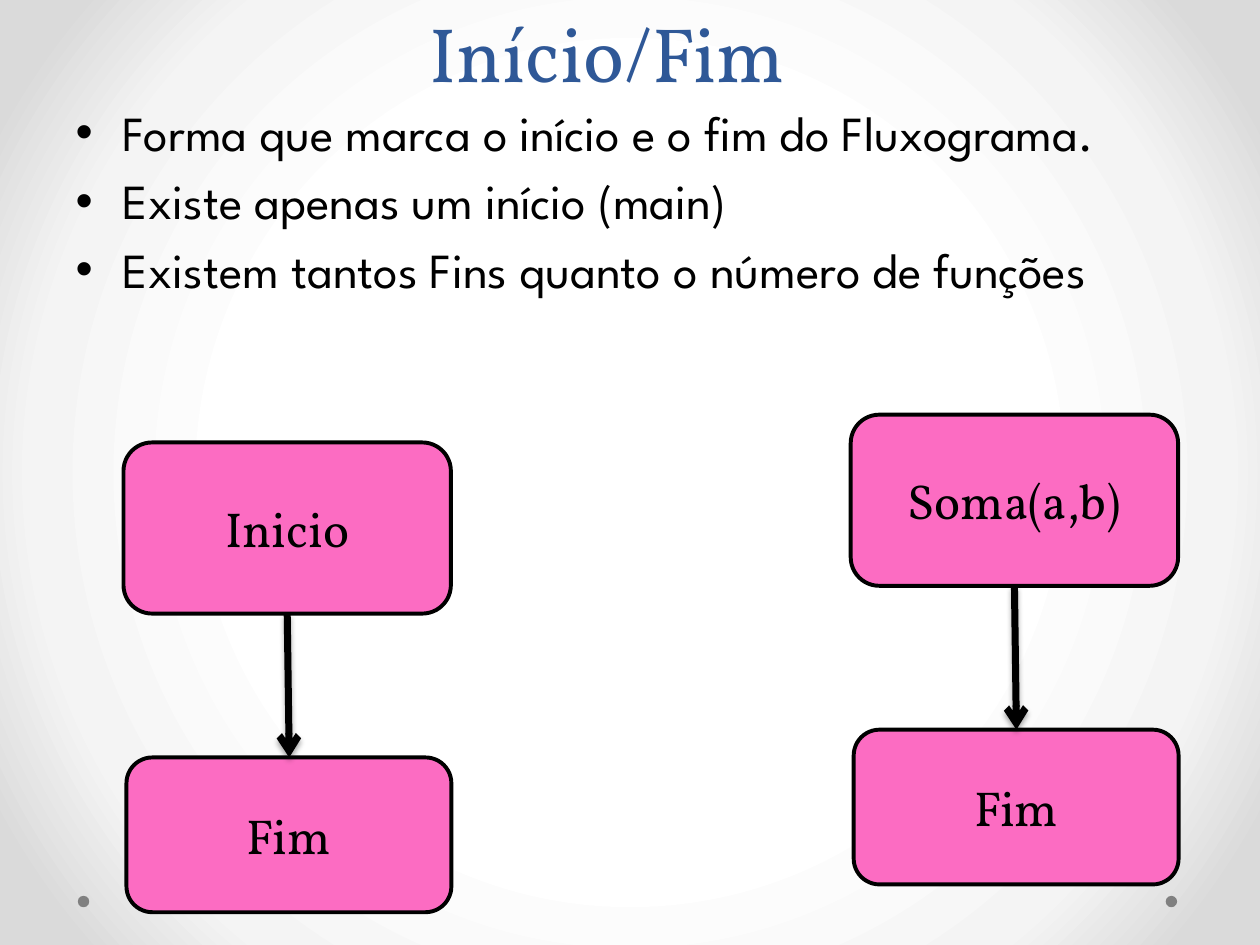
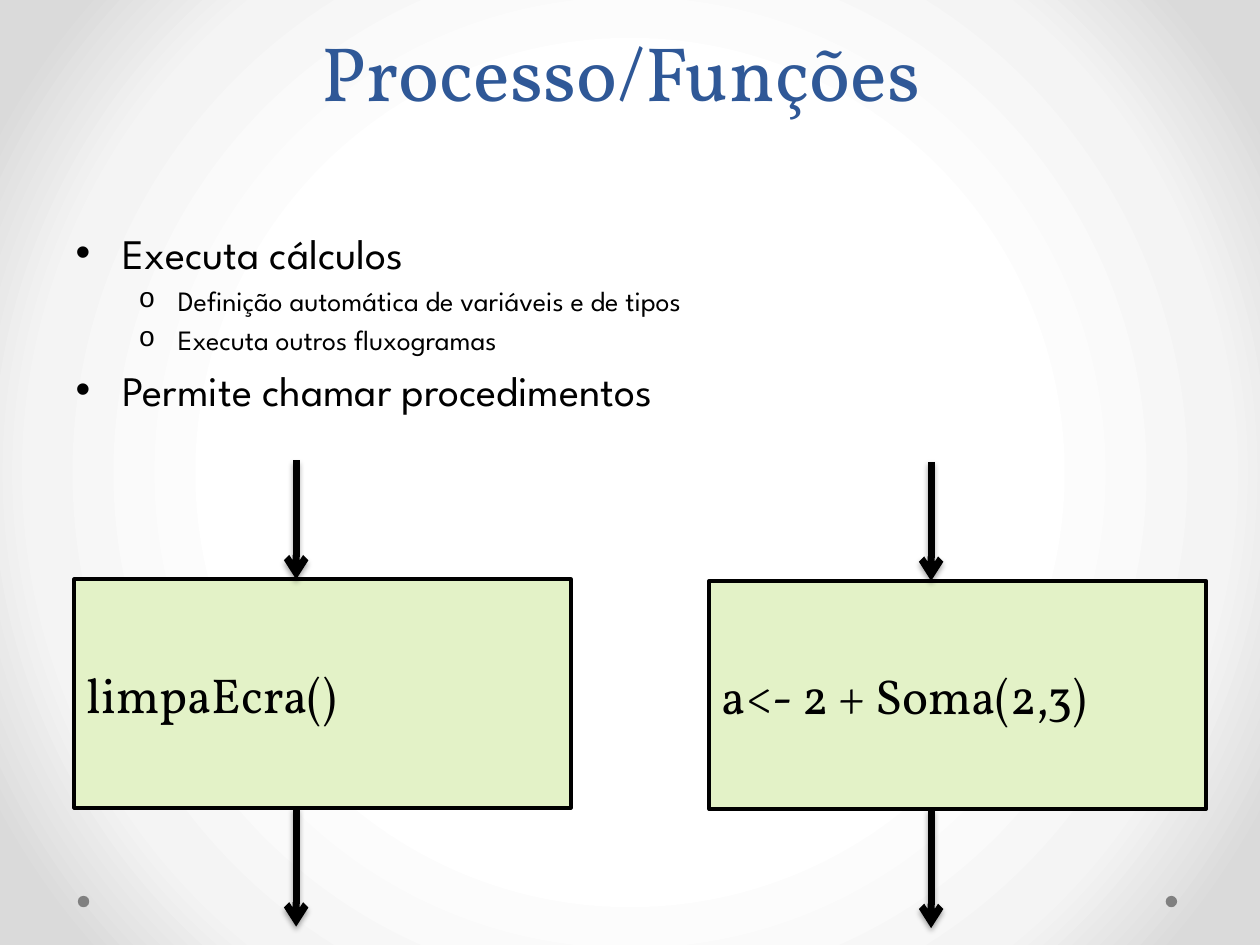
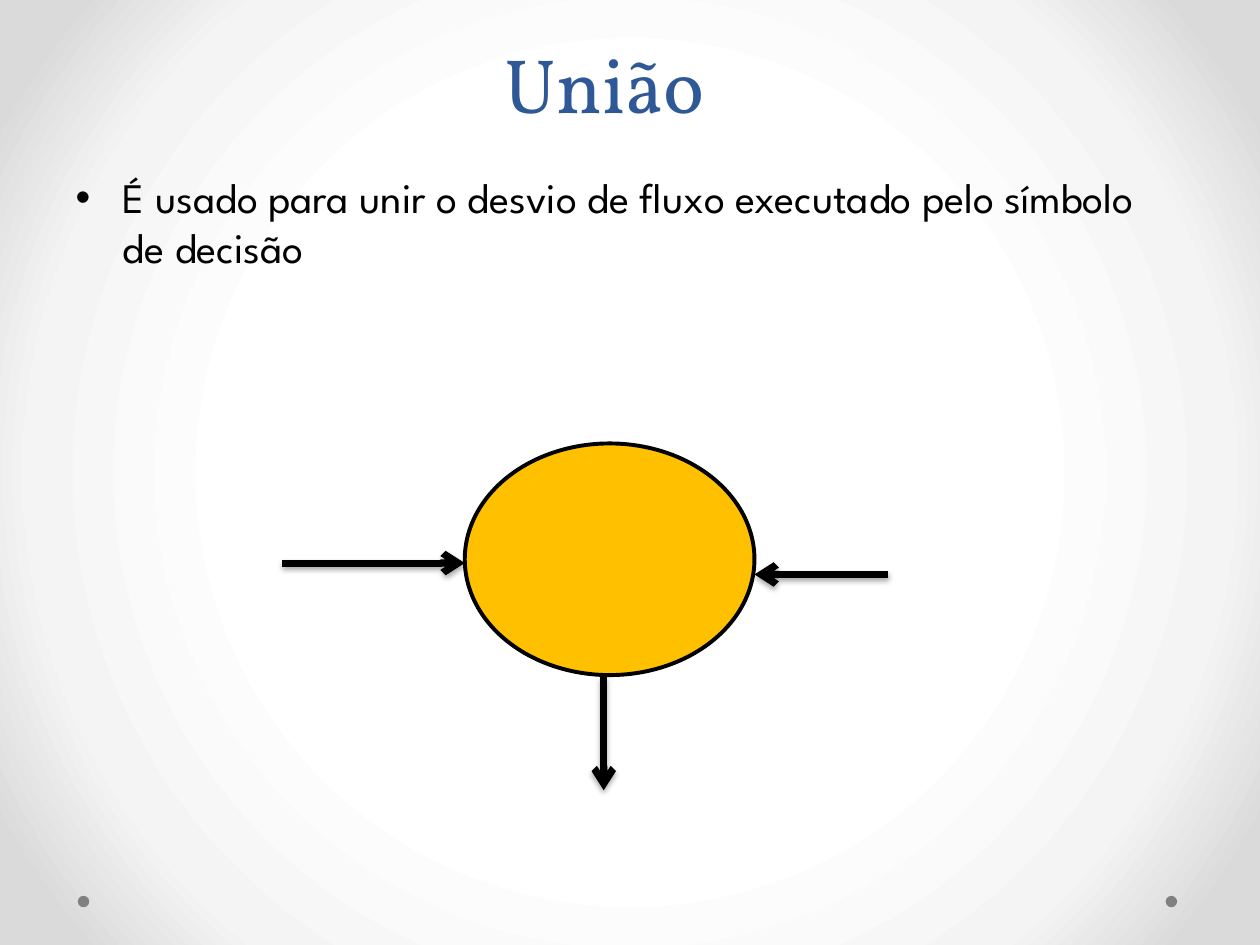
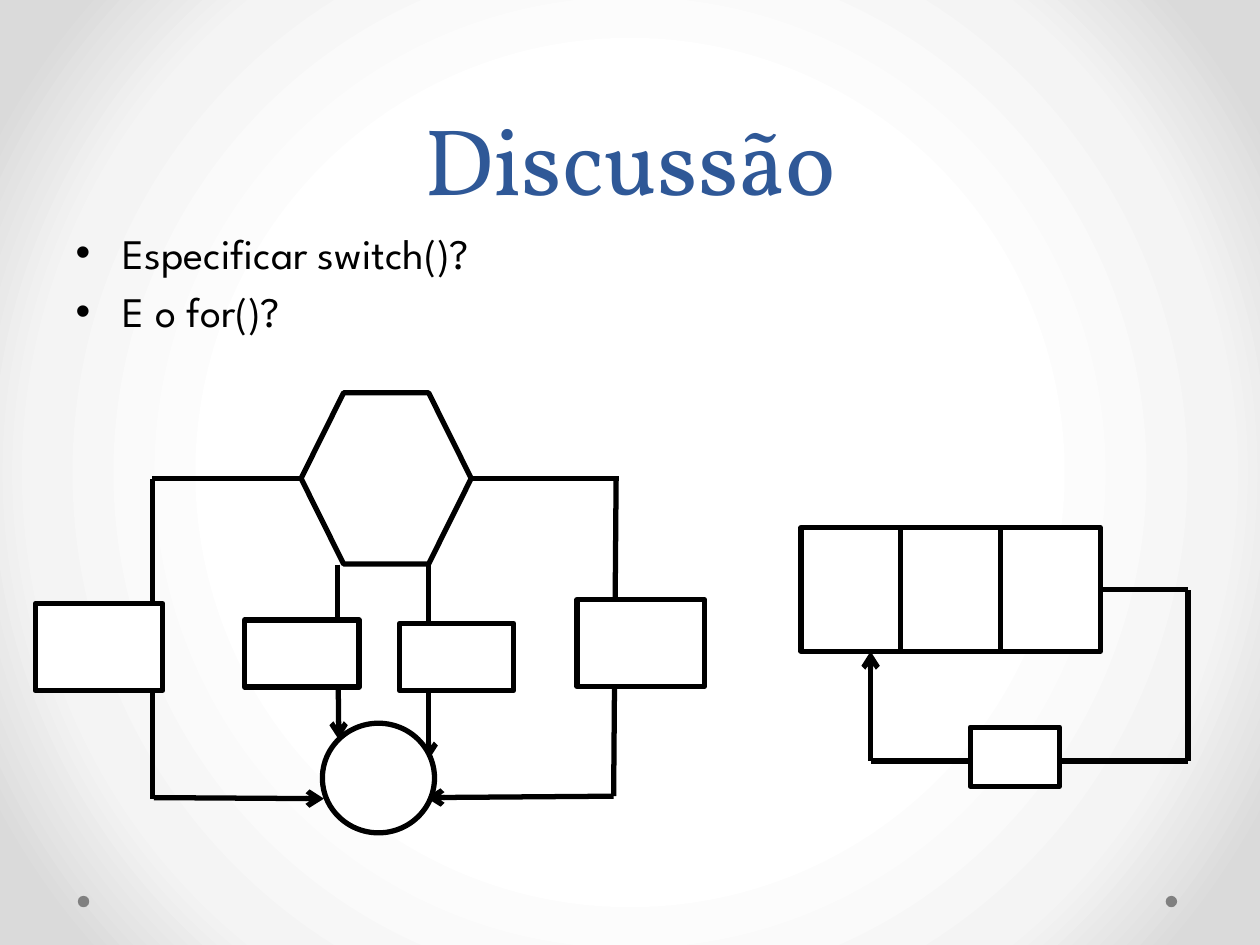
from pptx import Presentation
from pptx.dml.color import RGBColor
from pptx.enum.shapes import MSO_CONNECTOR, MSO_SHAPE
from pptx.enum.text import MSO_ANCHOR, MSO_AUTO_SIZE, PP_ALIGN
from pptx.oxml import parse_xml
from pptx.oxml.ns import nsdecls, qn
from pptx.util import Cm, Pt

COLORS = {
    "title": "2F5897", "ink": "000000", "paper": "FFFFFF", "dot": "808080",
    "terminal": "FC6CC2", "process": "E3F2C7", "union": "FFC000",
}
GRADIENT = [(50, "FFFFFF"), (76, "F4F4F4"), (92, "DADADA")]
SERIF, SANS = "Vollkorn", "League Spartan"
TEXT_WIDTH, BODY_LEFT, BODY_BOTTOM = 22.86, 1.27, 17.02
SUB_SIZE = 16

# All lengths are centimetres. Bullets are (level, text).
SLIDES = [
    {"title": "Início/Fim", "title_box": (0.81, -1.07, 3.18), "title_size": 44,
     "body_top": 1.93, "body_size": 28,
     "bullets": [(0, "Forma que marca o início e o fim do Fluxograma."),
                 (0, "Existe apenas um início (main)"),
                 (0, "Existem tantos Fins quanto o número de funções")]},
    {"title": "Processo/Funções", "title_box": (1.09, -0.69, 3.18), "title_size": 44,
     "body_top": 4.45, "body_size": 24,
     "bullets": [(0, "Executa cálculos"),
                 (1, "Definição automática de variáveis e de tipos"),
                 (1, "Executa outros fluxogramas"),
                 (0, "Permite chamar procedimentos")]},
    {"title": "União", "title_box": (0.76, -0.46, 3.18), "title_size": 44,
     "body_top": 3.33, "body_size": 24,
     "bullets": [(0, "É usado para unir o desvio de fluxo executado "
                     "pelo símbolo de decisão")]},
    {"title": "Discussão", "title_box": (1.27, 0, 4.45), "title_size": 54,
     "body_top": 4.45, "body_size": 24,
     "bullets": [(0, "Especificar switch()?"), (0, "E o for()?")]},
]

# (left, top, text)
TERMINALS = [(17.15, 8.36, "Soma(a,b)"), (2.49, 8.92, "Inicio")]
PROCESSES = [(14.3, 11.71, "a<- 2 + Soma(2,3)"), (1.5, 11.68, "limpaEcra()")]

# (x1, y1, x2, y2)
UNION_OVAL = (9.37, 8.94, 5.84, 4.67)
UNION_ARROWS = [(5.69, 11.35, 9.37, 11.35), (17.91, 11.58, 15.21, 11.58),
                (12.17, 13.64, 12.17, 15.93)]

SWITCH_HEXAGON = (6.07, 7.92, 3.43, 3.45)
SWITCH_LINES = [(6.07, 9.65, 3.07, 9.65), (6.81, 11.38, 6.81, 12.98),
                (8.64, 11.38, 8.64, 12.98), (12.47, 9.65, 9.5, 9.65),
                (3.07, 9.65, 3.07, 16.1), (12.42, 9.65, 12.37, 16.05)]
SWITCH_ARROWS = [(6.81, 12.98, 6.83, 14.91), (8.64, 12.98, 8.64, 15.32),
                 (3.1, 16.08, 6.53, 16.1), (12.37, 16.05, 8.59, 16.08)]
SWITCH_UNION = (6.5, 14.58, 2.26, 2.21)
SWITCH_CASES = [(0.71, 12.17, 2.57, 1.75), (11.63, 12.09, 2.57, 1.75),
                (4.93, 12.5, 2.31, 1.35), (8.05, 12.57, 2.31, 1.35)]

LOOP_LEFT, LOOP_TOP, LOOP_CELL = 16.15, 10.64, (2.01, 2.49)
LOOP_LINES = [(22.17, 11.89, 23.95, 11.89), (23.95, 15.34, 23.95, 11.89),
              (23.95, 15.34, 17.55, 15.34)]
LOOP_ARROW = (17.55, 15.34, 17.55, 13.13)
LOOP_STEP = (19.56, 14.66, 1.8, 1.19)


def color(name):
    """Return a named colour."""
    return RGBColor.from_string(COLORS[name])


def format_text(para, font, size, ink):
    """Give every run of a paragraph its font."""
    for span in para.runs:
        span.font.name = font
        span.font.size = Pt(size)
        span.font.color.rgb = color(ink)


def place(shape, left, top, width, height):
    """Move and size a shape."""
    shape.left, shape.top = Cm(left), Cm(top)
    shape.width, shape.height = Cm(width), Cm(height)


def add_box(shapes, kind, box, fill, text="", weight=2.25, align=PP_ALIGN.CENTER):
    """Add a filled, outlined shape; a weight of 0 means no outline."""
    shape = shapes.add_shape(kind, *map(Cm, box))
    shape.shadow.inherit = False
    shape.fill.solid()
    shape.fill.fore_color.rgb = color(fill)
    if weight:
        shape.line.color.rgb = color("ink")
        shape.line.width = Pt(weight)
    else:
        shape.line.fill.background()
    if text:
        frame = shape.text_frame
        frame.text = text
        frame.vertical_anchor = MSO_ANCHOR.MIDDLE
        frame.paragraphs[0].alignment = align
        format_text(frame.paragraphs[0], SERIF, 28, "ink")
    return shape


def add_line(shapes, ends, weight=3, arrow=False, shadow=False):
    """Add a straight line, with an arrowhead or a soft shadow if asked."""
    line = shapes.add_connector(MSO_CONNECTOR.STRAIGHT, *map(Cm, ends))
    line.line.color.rgb = color("ink")
    line.line.width = Pt(weight)
    if arrow:
        line.line._get_or_add_ln().append(
            parse_xml(f'<a:tailEnd {nsdecls("a")} type="arrow"/>'))
    effect = ('<a:outerShdw blurRad="40000" dist="23000" dir="5400000" rotWithShape="0">'
              '<a:srgbClr val="000000"><a:alpha val="35000"/></a:srgbClr>'
              '</a:outerShdw>') if shadow else ""
    line.element.spPr.append(
        parse_xml(f'<a:effectLst {nsdecls("a")}>{effect}</a:effectLst>'))


def add_flow(shapes, ends):
    """Add a heavy flow arrow with a shadow."""
    add_line(shapes, ends, weight=4, arrow=True, shadow=True)


def style_master(master):
    """Set the radial background and the second-level bullet."""
    master.background.fill.solid()
    properties = master.element.find(".//" + qn("p:bgPr"))
    stops = "".join(f'<a:gs pos="{at * 1000}"><a:srgbClr val="{shade}"/></a:gs>'
                    for at, shade in GRADIENT)
    properties.replace(properties[0], parse_xml(
        f'<a:gradFill {nsdecls("a")} rotWithShape="1"><a:gsLst>{stops}</a:gsLst>'
        '<a:path path="circle"><a:fillToRect l="50000" t="50000" r="50000" b="50000"/>'
        '</a:path></a:gradFill>'))
    second = master.element.find(f'.//{qn("p:bodyStyle")}/{qn("a:lvl2pPr")}')
    second.find(qn("a:buFont")).set("typeface", "Courier New")
    second.find(qn("a:buChar")).set("char", "o")


def add_master_dots(master, page):
    """Draw the two footer dots and hand them to the master."""
    tree = master.element.find(".//" + qn("p:spTree"))
    for number, left in enumerate((23.5, 1.57)):
        dot = add_box(page.shapes, MSO_SHAPE.OVAL, (left, 18.06, 0.23, 0.23),
                      "dot", weight=0)
        dot.element.find(".//" + qn("p:cNvPr")).set("id", str(101 + number))
        tree.append(dot.element)


def add_page(deck, content):
    """Add a slide with its title and bullet list."""
    page = deck.slides.add_slide(deck.slide_layouts[1])
    title, body = page.placeholders
    left, top, height = content["title_box"]
    place(title, left, top, TEXT_WIDTH, height)
    title.text_frame.text = content["title"]
    title.text_frame.auto_size = MSO_AUTO_SIZE.NONE
    title.text_frame.vertical_anchor = MSO_ANCHOR.BOTTOM
    para = title.text_frame.paragraphs[0]
    para.alignment = PP_ALIGN.CENTER
    para.line_spacing = Pt(58)
    format_text(para, SERIF, content["title_size"], "title")

    top = content["body_top"]
    place(body, BODY_LEFT, top, TEXT_WIDTH, BODY_BOTTOM - top)
    frame = body.text_frame
    frame.text = "\n".join(text for _, text in content["bullets"])
    frame.auto_size = MSO_AUTO_SIZE.NONE
    for para, (level, _) in zip(frame.paragraphs, content["bullets"]):
        para.level = level
        format_text(para, SANS, SUB_SIZE if level else content["body_size"], "ink")
    return page


def draw_terminals(shapes):
    """Draw each start box with an arrow to its end box."""
    kind = MSO_SHAPE.FLOWCHART_ALTERNATE_PROCESS
    for left, top, text in TERMINALS:
        end_top = top + 6.35
        add_box(shapes, kind, (left, top, 6.6, 3.45), "terminal", text)
        add_box(shapes, kind, (left + 0.06, end_top, 6.55, 3.12), "terminal", "Fim")
        add_flow(shapes, (left + 3.3, top + 3.47, left + 3.34, end_top))


def draw_processes(shapes):
    """Draw each process box with one arrow in and one out."""
    width, height, reach = 10.01, 4.6, 2.4
    for left, top, text in PROCESSES:
        add_box(shapes, MSO_SHAPE.FLOWCHART_PROCESS, (left, top, width, height),
                "process", text, align=PP_ALIGN.LEFT)
        for end in (top, top + height + reach):
            add_flow(shapes, (left + 4.47, end - reach, left + 4.47, end))


def draw_union(shapes):
    """Draw the union symbol and its arrows."""
    add_box(shapes, MSO_SHAPE.FLOWCHART_CONNECTOR, UNION_OVAL, "union")
    for ends in UNION_ARROWS:
        add_flow(shapes, ends)


def draw_discussion(shapes):
    """Draw the switch and the loop, each as a group."""
    switch = shapes.add_group_shape().shapes
    add_box(switch, MSO_SHAPE.HEXAGON, SWITCH_HEXAGON, "paper", weight=3)
    for ends in SWITCH_LINES:
        add_line(switch, ends)
    for ends in SWITCH_ARROWS:
        add_line(switch, ends, arrow=True)
    add_box(switch, MSO_SHAPE.OVAL, SWITCH_UNION, "paper", weight=3)
    for box in SWITCH_CASES:
        add_box(switch, MSO_SHAPE.RECTANGLE, box, "paper", weight=3)

    loop = shapes.add_group_shape().shapes
    for column in range(3):
        left = LOOP_LEFT + column * LOOP_CELL[0]
        add_box(loop, MSO_SHAPE.RECTANGLE, (left, LOOP_TOP, *LOOP_CELL), "paper", weight=3)
    for ends in LOOP_LINES:
        add_line(loop, ends)
    add_line(loop, LOOP_ARROW, arrow=True)
    add_box(loop, MSO_SHAPE.RECTANGLE, LOOP_STEP, "paper", weight=3)


deck = Presentation()
deck.slide_width, deck.slide_height = Cm(25.4), Cm(19.05)
style_master(deck.slide_master)
drawings = [draw_terminals, draw_processes, draw_union, draw_discussion]
for content, draw in zip(SLIDES, drawings):
    draw(add_page(deck, content).shapes)
add_master_dots(deck.slide_master, deck.slides[0])
deck.save("out.pptx")
